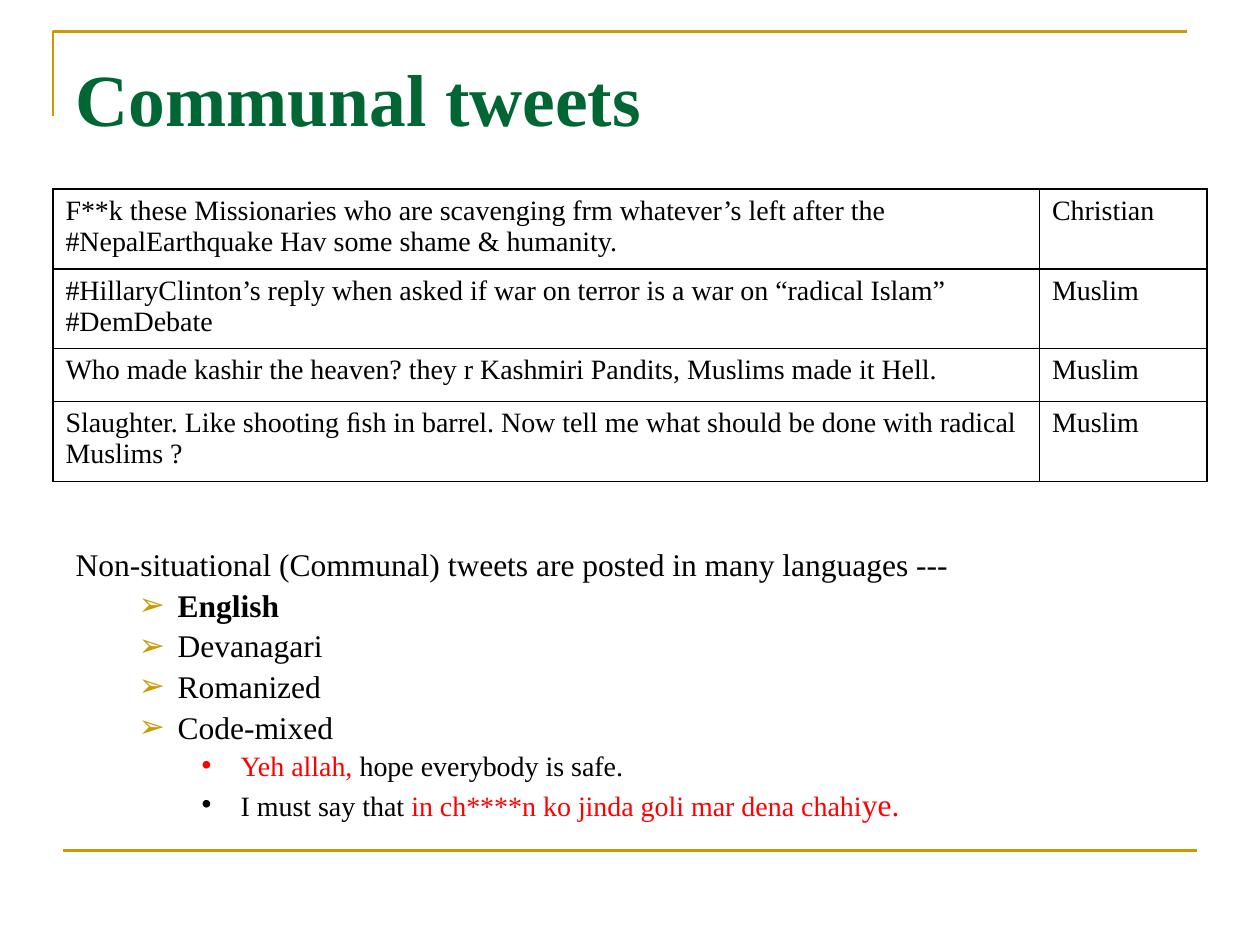
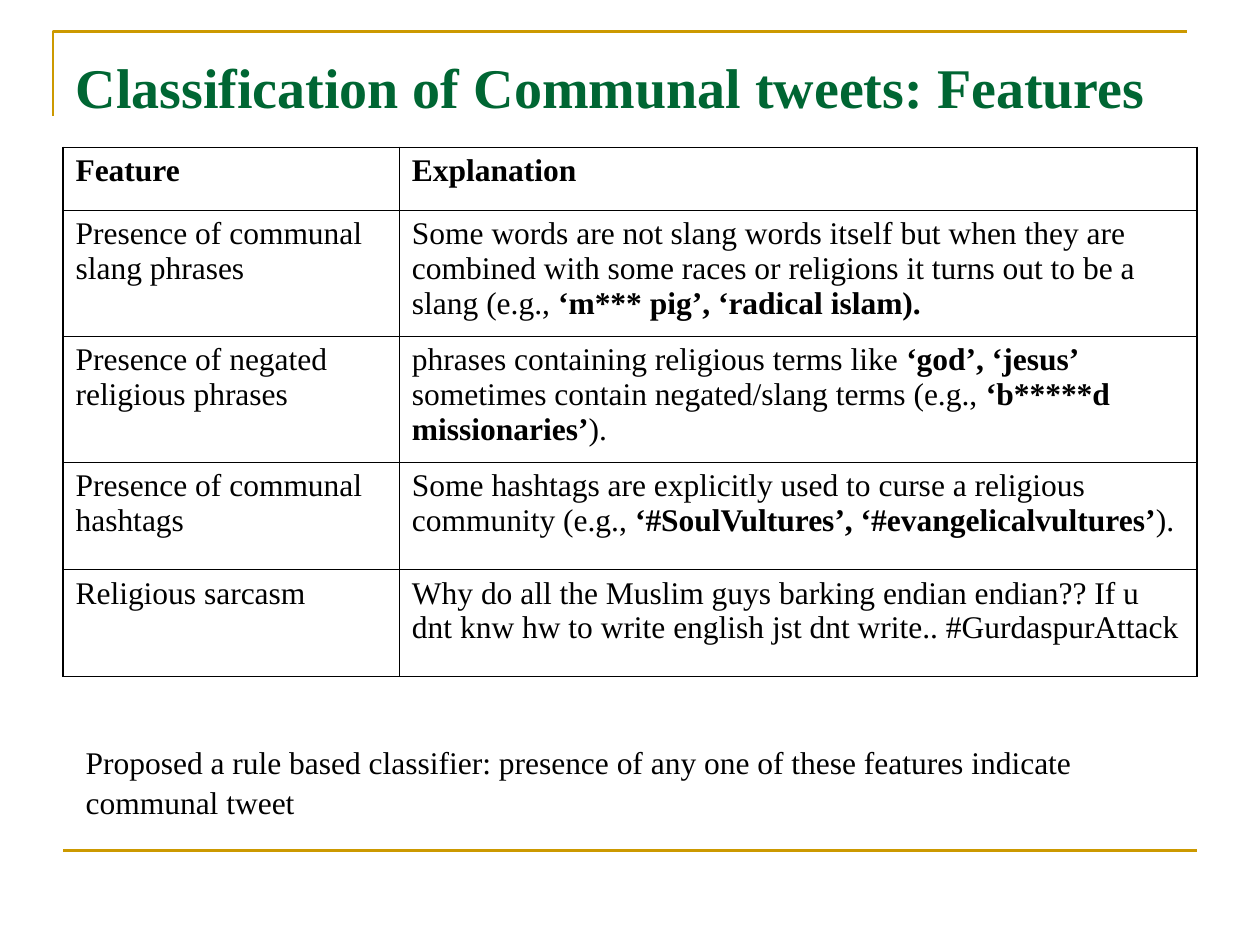
"""Build two slides on communal tweets: examples with languages, and classification features."""
from lxml import etree
from pptx import Presentation
from pptx import util as u
from pptx.dml.color import RGBColor
from pptx.enum import shapes, text
from pptx.oxml.ns import qn

COLORS = {"gold": "CC9900", "green": "006633", "black": "000000", "red": "FF0000"}
FONT = "Times New Roman"
BOLD = {"bold": True}
RED = {"color": "red"}


def rgb(name):
    return RGBColor.from_string(COLORS[name])


def set_attrs(obj, values):
    for name, value in values.items():
        setattr(obj, name, value)


def add_node(parent, tag, **attrs):
    return etree.SubElement(parent, qn(tag), attrs)


def add_solid(parent, color):
    add_node(add_node(parent, "a:solidFill"), "a:srgbClr", val=COLORS[color])


def write_runs(p, content, **base):
    """Write a string, or a list of strings and (string, format) pairs, into a paragraph."""
    for part in [content] if isinstance(content, str) else content:
        words, extra = (part, {}) if isinstance(part, str) else part
        fmt = {"size": 18, "color": "black", "bold": False, **base, **extra}
        r = p.add_run()
        r.text = words
        r.font.color.rgb = rgb(fmt.pop("color"))
        set_attrs(r.font, {"name": FONT, **fmt, "size": u.Pt(fmt["size"])})


def place(sp, left, top, width, height):
    box = {"left": left, "top": top, "width": width, "height": height}
    set_attrs(sp, {name: u.Inches(value) for name, value in box.items()})


def gold_line(sp):
    sp.line.color.rgb = rgb("gold")
    sp.line.width = u.Pt(1.5)


def add_frame(s):
    """Draw the gold corner above the title and the rule at the foot."""
    left, top = u.Inches(0.42), u.Inches(0.25)
    fb = s.shapes.build_freeform(left, u.Inches(0.92))
    fb.add_line_segments([(left, top), (u.Inches(9.42), top)], close=False)
    corner = fb.convert_to_shape()
    corner.fill.background()
    corner.shadow.inherit = False
    gold_line(corner)
    y = u.Inches(6.75)
    rule = s.shapes.add_connector(
        shapes.MSO_CONNECTOR.STRAIGHT, u.Inches(0.5), y, u.Inches(9.5), y)
    gold_line(rule)
    add_node(rule._element.spPr, "a:effectLst")


def add_title(s, title, size, height):
    sp = s.shapes.title
    place(sp, 0.5, 0.3, 9, height)
    tf = sp.text_frame
    set_attrs(tf, {"vertical_anchor": text.MSO_ANCHOR.TOP, "word_wrap": True,
                   "auto_size": text.MSO_AUTO_SIZE.NONE, "margin_top": u.Inches(0.12)})
    p = tf.paragraphs[0]
    p.alignment = text.PP_ALIGN.LEFT
    write_runs(p, title, size=size, color="green", bold=True)


def set_bullet(p, char, indent, color):
    pPr = p._p.get_or_add_pPr()
    hang = u.Inches(0.31) if char else 0
    pPr.set("marL", str(u.Inches(indent)))
    pPr.set("indent", str(-hang))
    if color:
        add_solid_color = add_node(pPr, "a:buClr")
        add_node(add_solid_color, "a:srgbClr", val=COLORS[color])
    if char:
        add_node(pPr, "a:buChar", char=char)
    else:
        add_node(pPr, "a:buNone")


def add_body(s, box, items):
    """Fill the body placeholder with (level, content) items."""
    levels = [("", 0, None, 18), ("➢", 0.81, "gold", 18), ("•", 1.31, None, 16)]
    sp = s.placeholders[1]
    place(sp, *box)
    tf = sp.text_frame
    set_attrs(tf, {"vertical_anchor": text.MSO_ANCHOR.TOP, "word_wrap": True,
                   "auto_size": text.MSO_AUTO_SIZE.SHAPE_TO_FIT_TEXT})
    for i, (level, content) in enumerate(items):
        p = tf.add_paragraph() if i else tf.paragraphs[0]
        char, indent, color, size = levels[level]
        set_bullet(p, char, indent, color)
        set_attrs(p, {"level": level, "line_spacing": 1.08, "space_before": u.Pt(0),
                      "space_after": u.Pt(0), "alignment": text.PP_ALIGN.LEFT})
        write_runs(p, content, size=size)


def set_borders(cell):
    tcPr = cell._tc.get_or_add_tcPr()
    for side in "LRTB":
        add_solid(add_node(tcPr, f"a:ln{side}", w=str(u.Pt(1))), "black")


def add_grid(s, box, widths, heights, rows, size, header=False):
    """Add a plain bordered table; each cell is a list of paragraphs."""
    table = s.shapes.add_table(len(rows), len(widths), *map(u.Inches, box)).table
    set_attrs(table, {"first_row": False, "horz_banding": False})
    for col, width in zip(table.columns, widths):
        col.width = u.Inches(width)
    for i, (row, height) in enumerate(zip(rows, heights)):
        table.rows[i].height = u.Inches(height)
        for j, paragraphs in enumerate(row):
            cell = table.cell(i, j)
            set_borders(cell)
            cell.fill.background()
            tf = cell.text_frame
            for k, content in enumerate(paragraphs):
                p = tf.add_paragraph() if k else tf.paragraphs[0]
                write_runs(p, content, size=size, bold=header and i == 0)


def new_slide(prs, title, size, height):
    s = prs.slides.add_slide(prs.slide_layouts[1])
    add_frame(s)
    add_title(s, title, size, height)
    return s


def add_tweets_slide(prs):
    s = new_slide(prs, "Communal tweets", 42, 0.86)
    tweets = [
        ("F**k these Missionaries who are scavenging frm whatever’s left after the "
         "#NepalEarthquake Hav some shame & humanity.", "Christian"),
        ("#HillaryClinton’s reply when asked if war on terror is a war on “radical Islam” "
         "#DemDebate", "Muslim"),
        ("Who made kashir the heaven? they r Kashmiri Pandits, Muslims made it Hell.", "Muslim"),
        ("Slaughter. Like shooting ﬁsh in barrel. Now tell me what should be done with "
         "radical Muslims ?", "Muslim"),
    ]
    rows = [[[tweet], [religion]] for tweet, religion in tweets]
    add_grid(s, (0.42, 1.5, 9.17, 1.86), [7.83, 1.33], [0.58, 0.44, 0.42, 0.42], rows, 16)
    add_body(s, (0.5, 4.25, 9.08, 2.49), [
        (0, "Non-situational (Communal) tweets are posted in many languages ---"),
        (1, [("English", BOLD)]),
        (1, "Devanagari"),
        (1, "Romanized"),
        (1, "Code-mixed"),
        (2, [("Yeh allah,", RED), " hope everybody is safe."]),
        (2, ["I must say that ", ("in ch****n ko jinda goli mar dena chahi", RED),
             ("ye.", {**RED, "size": 18})]),
    ])


def add_features_slide(prs):
    s = new_slide(prs, "Classification of Communal tweets: Features", 32, 0.95)
    rows = [
        [["Feature"], ["Explanation"]],
        [["Presence of communal", "slang phrases"],
         [["Some words are not slang words itself but when they are combined with some races "
           "or religions it turns out to be a slang (e.g., ",
           ("‘m*** pig’, ‘radical islam).", BOLD)]]],
        [["Presence of negated religious phrases"],
         [["phrases containing religious terms like ", ("‘god’, ‘jesus’ ", BOLD),
           "sometimes contain negated/slang terms (e.g., ",
           ("‘b*****d missionaries’", BOLD), ")."]]],
        [["Presence of communal", "hashtags"],
         [["Some hashtags are explicitly used to curse a religious community (e.g., ",
           ("‘#SoulVultures’, ‘#evangelicalvultures’", BOLD), ")."]]],
        [["Religious sarcasm"],
         ["Why do all the Muslim guys barking endian endian?? If u dnt knw hw to write "
          "english jst dnt write.. #GurdaspurAttack"]],
    ]
    heights = [0.5] + [0.85] * 4
    add_grid(s, (0.5, 1.17, 9, sum(heights)), [2.67, 6.33], heights, rows, 18, header=True)
    add_body(s, (0.58, 5.82, 9, 0.71), [
        (0, "Proposed a rule based classifier: presence of any one of these features "
            "indicate communal tweet"),
    ])


def main():
    prs = Presentation()
    set_attrs(prs, {"slide_width": u.Inches(10), "slide_height": u.Inches(7.5)})
    add_tweets_slide(prs)
    add_features_slide(prs)
    prs.save("out.pptx")


if __name__ == "__main__":
    main()
